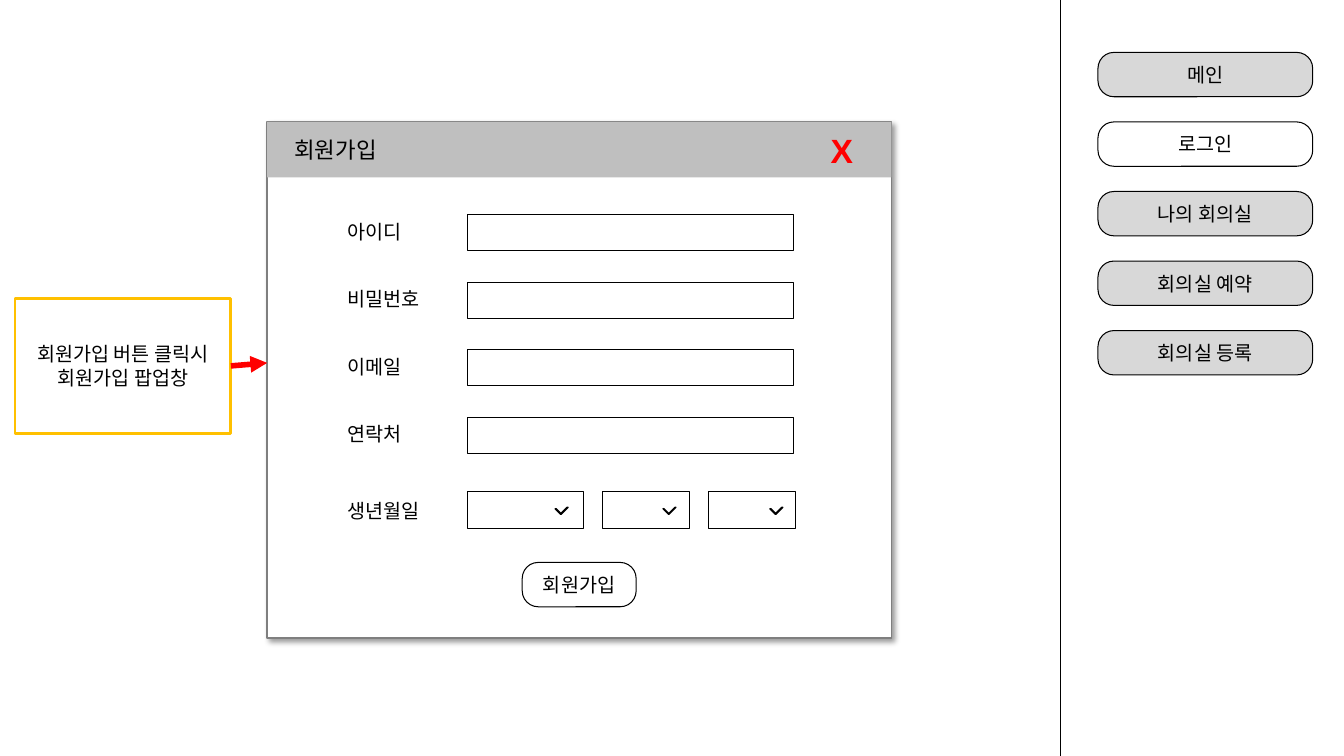
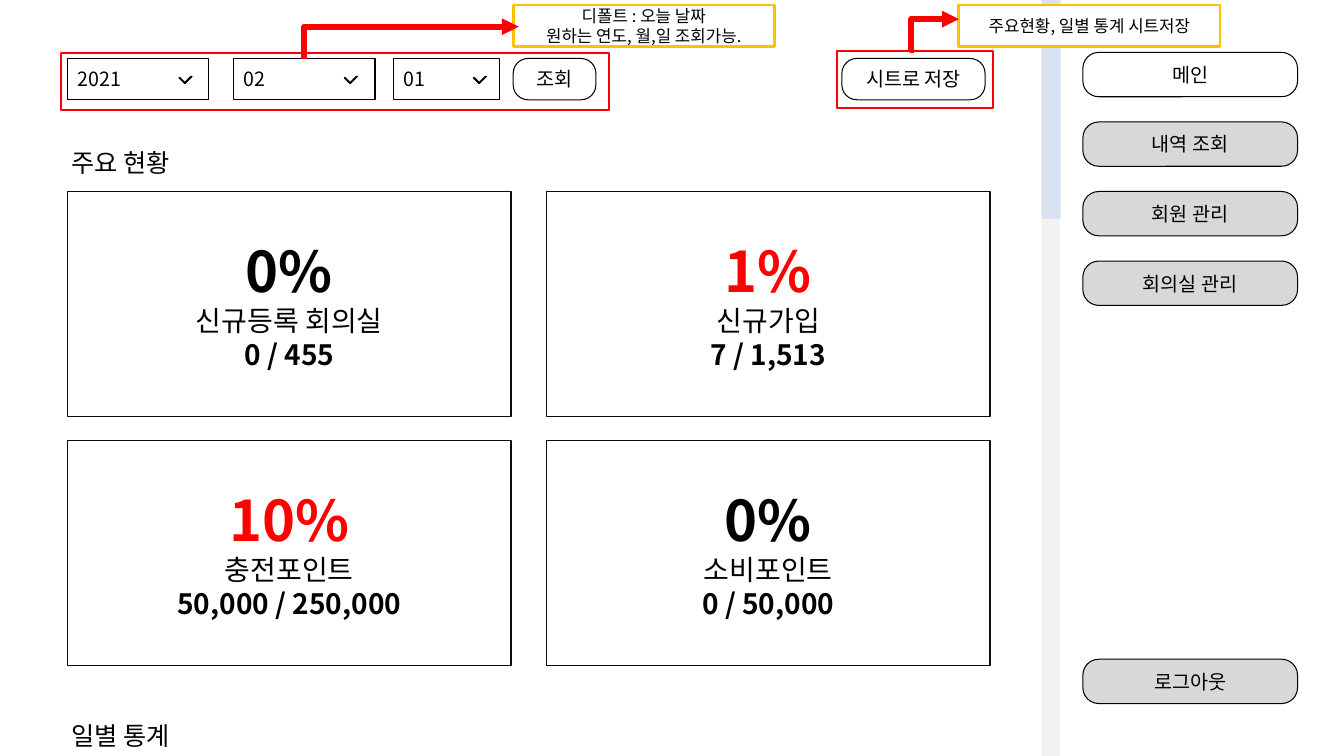
from lxml import etree
from pptx import Presentation
from pptx.dml.color import RGBColor
from pptx.enum.shapes import MSO_CONNECTOR, MSO_SHAPE
from pptx.enum.text import MSO_ANCHOR, PP_ALIGN
from pptx.oxml import parse_xml
from pptx.oxml.ns import nsdecls, qn
from pptx.util import Inches, Pt

FONT = "Noto Sans CJK KR"
BLACK, WHITE, RED, AMBER = "000000", "FFFFFF", "FF0000", "FFC000"
MENU_GRAY, BAR_GRAY, POPUP_EDGE, CARD_EDGE = "D8D8D8", "BFBFBF", "7F7F7F", "0C0C0C"
TRACK_GRAY, THUMB_BLUE = "F2F2F2", "D8E2F3"
BUTTON_HEIGHT, MENU_PITCH = 0.44, 0.69
RECTANGLE, ROUNDED = MSO_SHAPE.RECTANGLE, MSO_SHAPE.ROUNDED_RECTANGLE


def add_box(slide, at, fill=WHITE, line=BLACK, width=0.75, preset=RECTANGLE):
    shape = slide.shapes.add_shape(preset, *[Inches(value) for value in at])
    shape.shadow.inherit = False
    if preset == ROUNDED:
        shape.adjustments[0] = 0.36
    if fill:
        shape.fill.solid()
        shape.fill.fore_color.rgb = RGBColor.from_string(fill)
    else:
        shape.fill.background()
    if line:
        shape.line.color.rgb = RGBColor.from_string(line)
        shape.line.width = Pt(width)
    else:
        shape.line.fill.background()
    return shape


def write(shape, lines, align=PP_ALIGN.CENTER, anchor=MSO_ANCHOR.MIDDLE, font=FONT):
    """Fill a shape with one paragraph per (text, size, colour, bold) line."""
    frame = shape.text_frame
    frame.word_wrap = True
    frame.vertical_anchor = anchor
    for index, (text, size, color, bold) in enumerate(lines):
        paragraph = frame.add_paragraph() if index else frame.paragraphs[0]
        paragraph.alignment = align
        run = paragraph.add_run()
        run.text = text
        run.font.size = Pt(size)
        run.font.bold = bold
        run.font.color.rgb = RGBColor.from_string(color)
        run.font.name = font
        east_asian = etree.SubElement(run.font._element, qn("a:ea"))
        east_asian.set("typeface", font)


presentation = Presentation()
presentation.slide_width = Inches(13.33)
presentation.slide_height = Inches(7.5)
title_only = presentation.slide_layouts[5]
signup = presentation.slides.add_slide(title_only)
dashboard = presentation.slides.add_slide(title_only)

# Side menus: the current page is white
menus = [
    (signup, 10.89, "로그인", ["메인", "로그인", "나의 회의실", "회의실 예약", "회의실 등록"]),
    (dashboard, 10.74, "메인", ["메인", "내역 조회", "회원 관리", "회의실 관리"]),
]
buttons = [(dashboard, (10.74, 6.54, 2.13, BUTTON_HEIGHT), "로그아웃", MENU_GRAY)]
for slide, left, current, names in menus:
    for row, name in enumerate(names):
        at = (left, 0.52 + row * MENU_PITCH, 2.13, BUTTON_HEIGHT)
        buttons.append((slide, at, name, WHITE if name == current else MENU_GRAY))

# Sign-up popup
popup = add_box(signup, (2.65, 1.21, 6.19, 5.12), line=POPUP_EDGE, width=1)
popup._element.spPr.remove(popup._element.spPr.find(qn("a:effectLst")))
popup._element.spPr.append(parse_xml(
    f'<a:effectLst {nsdecls("a")}><a:outerShdw blurRad="{Pt(4)}" dist="{Pt(3)}" '
    f'dir="2700000" algn="tl" rotWithShape="0"><a:srgbClr val="{BLACK}">'
    '<a:alpha val="40000"/></a:srgbClr></a:outerShdw></a:effectLst>'))
popup_bar = add_box(signup, (2.65, 1.21, 6.19, 0.55), fill=BAR_GRAY, line=None)
write(popup_bar, [("X", 24, RED, True)], align=PP_ALIGN.RIGHT, font="Arial")
popup_bar.text_frame.margin_right = Inches(0.38)

field_tops = [2.13 + row * 0.67 for row in range(4)]
for top in field_tops:
    add_box(signup, (4.64, top, 3.23, 0.36))
labels = [(signup, (3.35, top, 0.99, 0.34), text, 14)
          for top, text in zip(field_tops + [4.9],
                               ["아이디", "비밀번호", "이메일", "연락처", "생년월일"])]
buttons.append((signup, (5.18, 5.58, 1.13, BUTTON_HEIGHT), "회원가입", WHITE))

# Dashboard scroll bar
add_box(dashboard, (10.33, 0, 0.18, 7.5), fill=TRACK_GRAY, line=None)
add_box(dashboard, (10.33, 0, 0.19, 2.17), fill=THUMB_BLUE, line=None)
labels.append((dashboard, (0.61, 7.1, 1.3, 0.4), "일별 통계", 18))

for slide, at, text, size in labels:
    label = slide.shapes.add_textbox(*[Inches(value) for value in at])
    write(label, [(text, size, BLACK, False)], PP_ALIGN.LEFT, MSO_ANCHOR.TOP)

# Titles
for slide, at, text, size in [
    (signup, (2.82, 1.3, 1.23, 0.37), "회원가입", 16),
    (dashboard, (0.61, 1.41, 1.3, 0.4), "주요 현황", 18),
]:
    title = slide.shapes.title
    title.left, title.top, title.width, title.height = [Inches(value) for value in at]
    write(title, [(text, size, BLACK, False)], PP_ALIGN.LEFT, MSO_ANCHOR.TOP)
popup_bar._element.addnext(signup.shapes.title._element)

# Buttons
buttons += [
    (dashboard, (5.09, 0.58, 0.82, 0.41), "조회", WHITE),
    (dashboard, (8.35, 0.58, 1.42, 0.41), "시트로 저장", WHITE),
]
for slide, at, text, fill in buttons:
    button = add_box(slide, at, fill=fill, preset=ROUNDED)
    write(button, [(text, 14, BLACK, False)])

# Date pickers with a chevron near the right edge
for slide, at, text, chevron_left in [
    (signup, (4.64, 4.88, 1.15, 0.36), "", 5.53),
    (signup, (5.98, 4.88, 0.86, 0.36), "", 6.6),
    (signup, (7.03, 4.88, 0.86, 0.36), "", 7.66),
    (dashboard, (0.67, 0.58, 1.4, 0.41), "2021", 1.8),
    (dashboard, (2.32, 0.58, 1.4, 0.41), "02", 3.44),
    (dashboard, (3.9, 0.58, 1.05, 0.41), "01", 4.72),
]:
    picker = add_box(slide, at)
    if text:
        write(picker, [(text, 14, BLACK, False)], align=PP_ALIGN.LEFT)
    chevron_top = at[1] + at[3] / 2 - 0.07
    chevron = add_box(slide, (chevron_left, chevron_top, 0.08, 0.1), fill=BLACK,
                      width=1, preset=MSO_SHAPE.HALF_FRAME)
    chevron.adjustments[0] = chevron.adjustments[1] = 0.08
    chevron.rotation = 225

# Status cards
cards = [
    ("0%", BLACK, "신규등록 회의실", "0 / 455"),
    ("1%", RED, "신규가입", "7 / 1,513"),
    ("10%", RED, "충전포인트", "50,000 / 250,000"),
    ("0%", BLACK, "소비포인트", "0 / 50,000"),
]
for index, (percent, color, name, ratio) in enumerate(cards):
    row, column = divmod(index, 2)
    card = add_box(dashboard, (0.67 + column * 4.75, 1.9 + row * 2.47, 4.4, 2.23),
                   fill=None, line=CARD_EDGE, width=1)
    write(card, [(percent, 40, color, True), (name, 20, BLACK, False),
                 (ratio, 20, BLACK, True)])

# Annotations
for at in [(0.61, 0.53, 5.43, 0.56), (8.3, 0.51, 1.55, 0.56)]:
    add_box(dashboard, at, fill=None, line=RED, width=1.5)
callouts = []
for slide, at, size, texts in [
    (signup, (0.15, 2.96, 2.14, 1.34), 14, ["회원가입 버튼 클릭시", "회원가입 팝업창"]),
    (dashboard, (5.09, 0.05, 2.59, 0.41), 12,
     ["디폴트 : 오늘 날짜", "원하는 연도, 월,일 조회가능."]),
    (dashboard, (9.51, 0.05, 2.59, 0.41), 12, ["주요현황, 일별 통계 시트저장"]),
]:
    callout = add_box(slide, at, line=AMBER, width=2)
    write(callout, [(text, size, BLACK, False) for text in texts])
    callouts.append(callout)

# Divider and arrows
connectors = []
for slide, kind, ends, color, width in [
    (signup, MSO_CONNECTOR.STRAIGHT, (10.52, 0, 10.52, 7.5), BLACK, 0.75),
    (signup, MSO_CONNECTOR.STRAIGHT, (2.29, 3.63, 2.65, 3.6), RED, 4),
    (dashboard, MSO_CONNECTOR.ELBOW, (3.92, -0.64, 4.24, 1.49), RED, 4),
    (dashboard, MSO_CONNECTOR.ELBOW, (9.07, 0.5, 9.51, 0.19), RED, 4),
]:
    connector = slide.shapes.add_connector(kind, *[Inches(value) for value in ends])
    connector.line.color.rgb = RGBColor.from_string(color)
    connector.line.width = Pt(width)
    if color == RED:
        arrowhead = etree.SubElement(connector.line._get_or_add_ln(), qn("a:tailEnd"))
        arrowhead.set("type", "triangle")
    etree.SubElement(connector._element.spPr, qn("a:effectLst"))
    connectors.append(connector)

divider, popup_arrow, date_arrow, export_arrow = connectors
popup_arrow.begin_connect(callouts[0], 3)

# A quarter turn makes the single bend run up, then right
date_arrow._element.spPr.find(qn("a:xfrm")).set("rot", "16200000")
date_arrow._element.spPr.find(qn("a:prstGeom")).set("prst", "bentConnector2")

# The bend lies just left of the starting point
geometry = export_arrow._element.spPr.find(qn("a:prstGeom"))
bend = etree.SubElement(geometry.find(qn("a:avLst")), qn("a:gd"))
bend.set("name", "adj1")
bend.set("fmla", "val -7200")

presentation.save("out.pptx")
